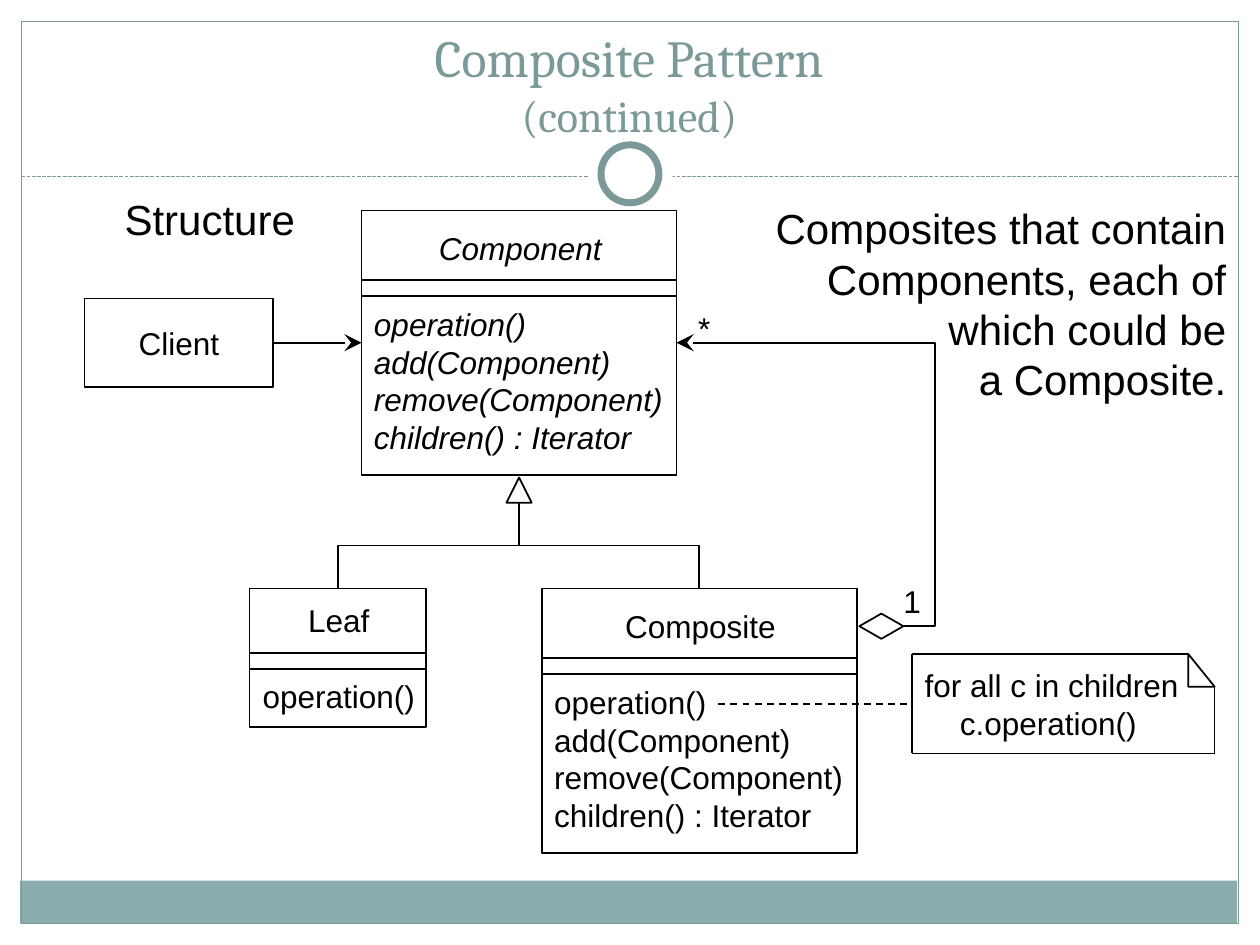
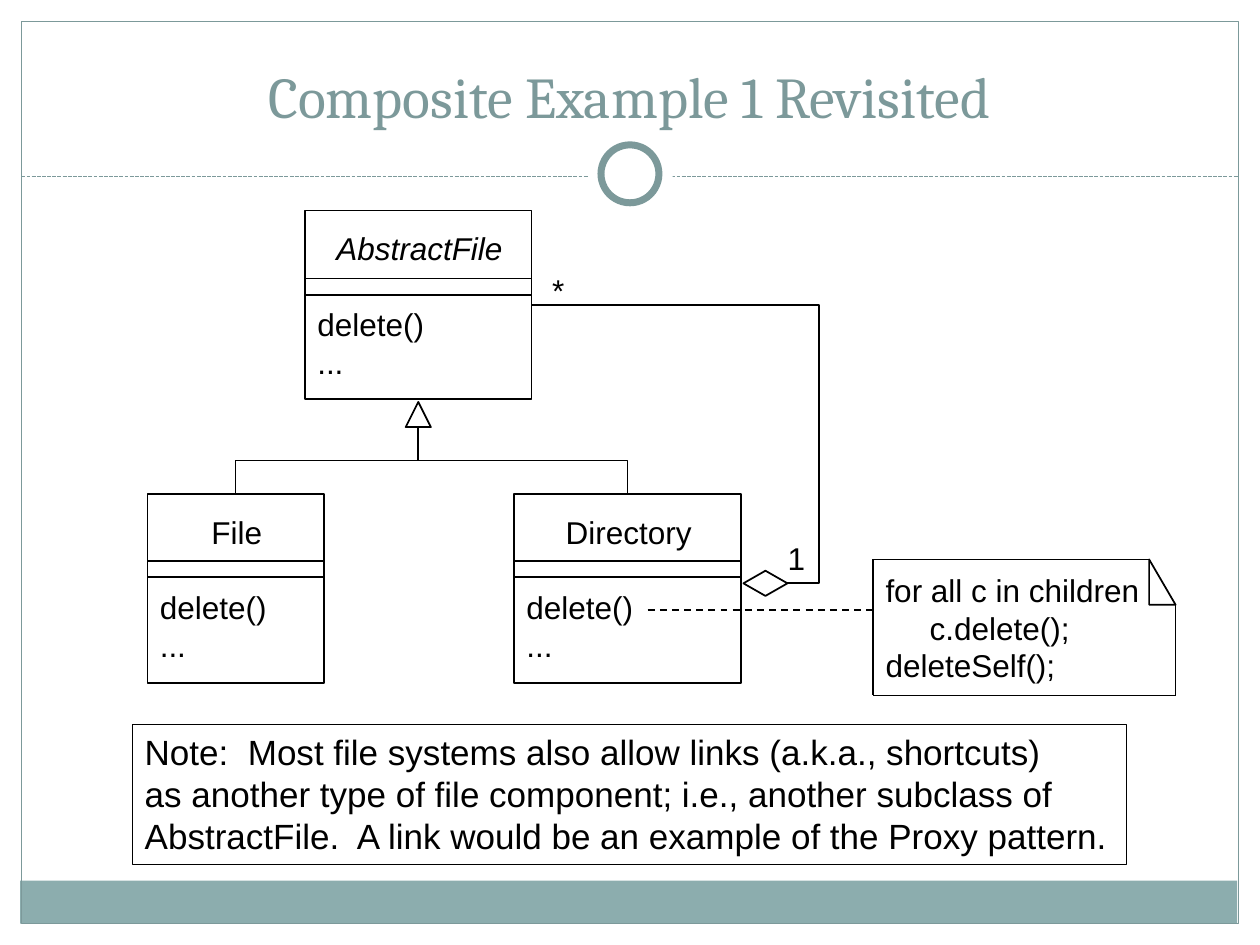
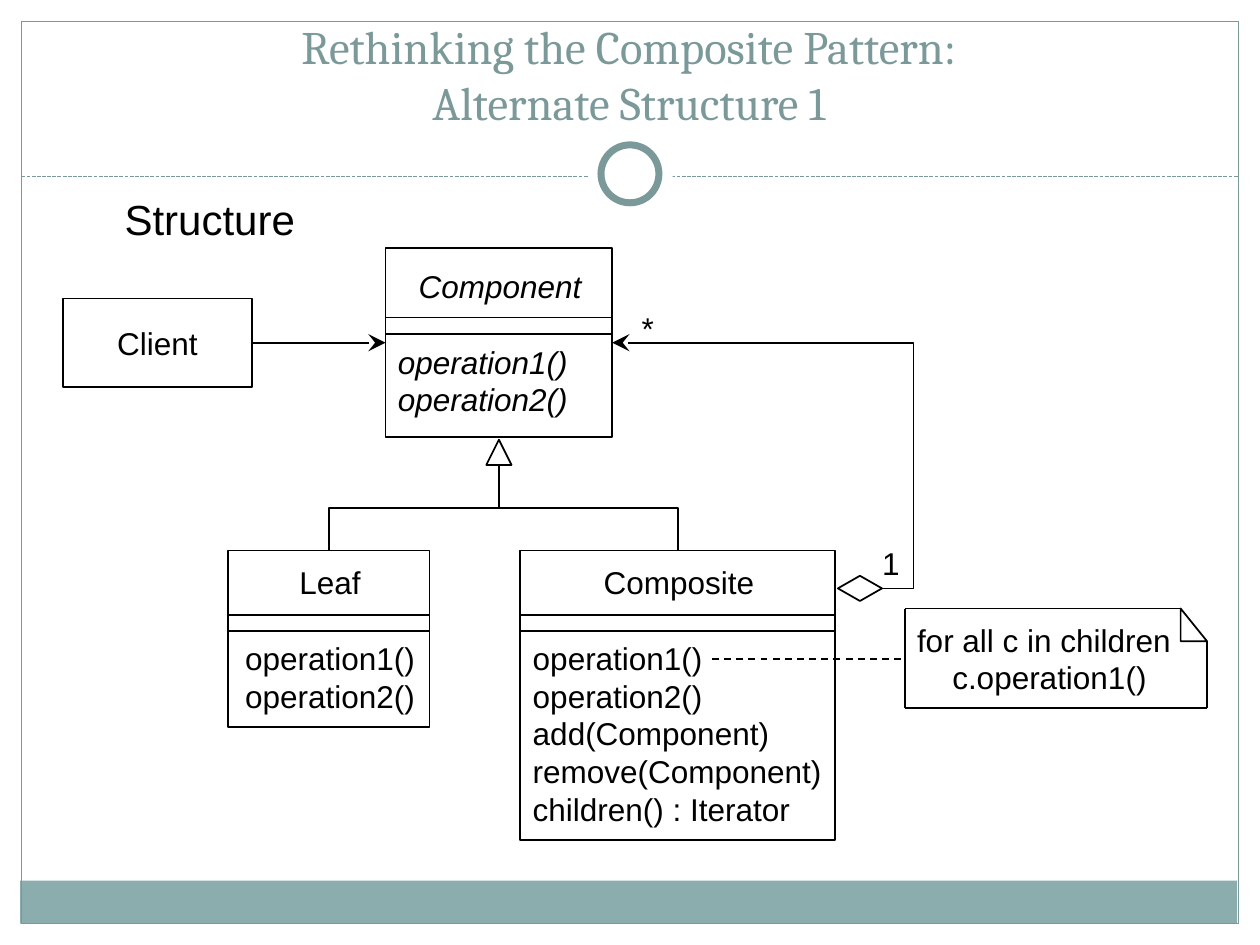
from lxml.etree import SubElement
from pptx import Presentation
from pptx.dml.color import RGBColor
from pptx.enum.dml import MSO_LINE
from pptx.enum.shapes import MSO_CONNECTOR, MSO_SHAPE
from pptx.enum.text import MSO_ANCHOR, PP_ALIGN
from pptx.oxml.ns import qn
from pptx.util import Inches, Pt

BLACK, WHITE, TEAL, BAND = "000000", "FFFFFF", "7C999A", "8CADAE"
BODY_FONT, TITLE_FONT = "Arial", "Cambria"
LEFT, CENTER, RIGHT = PP_ALIGN.LEFT, PP_ALIGN.CENTER, PP_ALIGN.RIGHT
DIVIDER_GAP = 0.13
TRIANGLE = 0.2
DIAMOND_WIDTH, DIAMOND_HEIGHT = 0.35, 0.2
NOTE_WIDTH, FOLD_WIDTH = 2.4, 0.21
ELBOW_REACH = 0.25
CHILD_METHODS = ["add(Component)", "remove(Component)", "children() : Iterator"]
STRUCTURE = dict(text="Structure", box=(0.88, 1.49, 1.57, 0.5), size=24, align=CENTER)

# Classes: box, name, methods, distance of the first divider from the top;
# optionally which parts are italic and how the methods are aligned.
# Aggregation: drop below the composite's top, height at the parent, gap to "*".
# Note: lines are (text, indent); link is the start of the dashed line.
SLIDES = [
    dict(
        title=[("Composite Pattern", 29.7), ("(continued)", 25.2)], title_top=0.34,
        parent=dict(box=(2.87, 1.67, 2.5, 2.1), name="Component", divider=0.55,
                    methods=["operation()"] + CHILD_METHODS,
                    italic_name=True, italic_methods=True),
        leaf=dict(box=(1.98, 4.67, 1.4, 1.1), name="Leaf", divider=0.51,
                  methods=["operation()"], align=CENTER),
        composite=dict(box=(4.3, 4.67, 2.5, 2.1), name="Composite", divider=0.55,
                       methods=["operation()"] + CHILD_METHODS),
        aggregation=dict(drop=0.3, parent_y=2.72, star_gap=0.07, arrow=True),
        note=dict(box=(7.24, 5.19, 0.79), fold=0.26, link=(5.7, 5.59),
                  lines=[("for all c in children", 0), ("c.operation()", 0.28)]),
        client=(0.67, 2.37, 1.5, 0.7),
        captions=[STRUCTURE, dict(
            text="Composites that contain Components, each of which could be a\u00a0Composite.",
            box=(5.62, 1.56, 4.21, 1.72), size=24, align=RIGHT, wrap=True)],
    ),
    dict(
        title=[("Composite Example 1 Revisited", 33)], title_top=0.25,
        parent=dict(box=(2.42, 1.67, 1.8, 1.5), name="AbstractFile", divider=0.54,
                    methods=["delete()", "..."], italic_name=True),
        leaf=dict(box=(1.17, 3.92, 1.4, 1.5), name="File", divider=0.53,
                  methods=["delete()", "..."]),
        composite=dict(box=(4.08, 3.92, 1.8, 1.5), name="Directory", divider=0.53,
                       methods=["delete()", "..."]),
        aggregation=dict(drop=0.71, parent_y=2.42, star_gap=0.06, arrow=False),
        note=dict(box=(6.93, 4.44, 1.08), fold=0.36, link=(5.14, 4.84),
                  lines=[("for all c in children", 0), ("c.delete();", 0.35),
                         ("deleteSelf();", 0)]),
        captions=[dict(
            text="Note:  Most file systems also allow links (a.k.a., shortcuts)\n"
                 "as another type of file component; i.e., another subclass of\n"
                 "AbstractFile.  A link would be an example of the Proxy pattern.",
            box=(1.05, 5.75, 7.89, 1.11), size=20, border=0.75)],
    ),
    dict(
        title=[("Rethinking the Composite Pattern:", 26.6), ("Alternate Structure 1", 26.6)],
        title_top=0.25,
        parent=dict(box=(3.06, 1.97, 1.8, 1.5), name="Component", divider=0.55,
                    methods=["operation1()", "operation2()"],
                    italic_name=True, italic_methods=True),
        leaf=dict(box=(1.81, 4.37, 1.6, 1.4), name="Leaf", divider=0.51,
                  methods=["operation1()", "operation2()"], align=CENTER),
        composite=dict(box=(4.13, 4.37, 2.5, 2.3), name="Composite", divider=0.51,
                       methods=["operation1()", "operation2()"] + CHILD_METHODS),
        aggregation=dict(drop=0.3, parent_y=2.72, star_gap=0.13, arrow=True),
        note=dict(box=(7.18, 4.83, 0.79), fold=0.26, link=(5.65, 5.23),
                  lines=[("for all c in children", 0), ("c.operation1()", 0.28)]),
        client=(0.5, 2.37, 1.5, 0.7),
        captions=[STRUCTURE],
    ),
]


def rgb(color):
    """Turn a hex string into a colour."""
    return RGBColor.from_string(color)


def style_runs(paragraph, size, color=BLACK, font=BODY_FONT, italic=False):
    """Format every run of a paragraph."""
    for run in paragraph.runs:
        run.font.size = Pt(size)
        run.font.name = font
        run.font.italic = italic
        run.font.color.rgb = rgb(color)


def add_preset(slide, kind, box, fill=None, line=None, width=1):
    """Draw a preset shape with an optional fill and outline."""
    shape = slide.shapes.add_shape(kind, *map(Inches, box))
    shape.shadow.inherit = False
    if fill:
        shape.fill.solid()
        shape.fill.fore_color.rgb = rgb(fill)
    else:
        shape.fill.background()
    if line:
        shape.line.color.rgb = rgb(line)
        shape.line.width = Pt(width)
    else:
        shape.line.fill.background()
    return shape


def add_line(slide, start, end, color=BLACK, width=1, dash=None, arrow=False,
             kind=MSO_CONNECTOR.STRAIGHT):
    """Draw a connector between two points."""
    connector = slide.shapes.add_connector(kind, *map(Inches, (*start, *end)))
    connector.line.color.rgb = rgb(color)
    connector.line.width = Pt(width)
    if dash:
        connector.line.dash_style = dash
    properties = connector._element.spPr
    if arrow:
        SubElement(properties.find(qn("a:ln")), qn("a:tailEnd"),
                   type="stealth", w="lg", len="lg")
    SubElement(properties, qn("a:effectLst"))
    return connector


def add_side_elbow(slide, start, end, arrow):
    """Link two points through a vertical stretch to the right of the start."""
    elbow = add_line(slide, start, end, arrow=arrow, kind=MSO_CONNECTOR.ELBOW)
    bend = round(100000 * ELBOW_REACH / (end[0] - start[0]))
    guides = elbow._element.spPr.find(qn("a:prstGeom")).find(qn("a:avLst"))
    SubElement(guides, qn("a:gd"), name="adj1", fmla=f"val {bend}")


def add_tree_elbow(slide, top, bottom):
    """Link two points down, across and down: an elbow turned by 90 degrees."""
    middle_x, middle_y = (top[0] + bottom[0]) / 2, (top[1] + bottom[1]) / 2
    half_height = abs(bottom[0] - top[0]) / 2
    leftward = bottom[0] < top[0]
    reach = (bottom[1] - top[1]) / 2 * (1 if leftward else -1)
    elbow = add_line(slide, (middle_x - reach, middle_y - half_height),
                     (middle_x + reach, middle_y + half_height),
                     kind=MSO_CONNECTOR.ELBOW)
    quarter_turns = 1 if leftward else 3
    elbow._element.spPr.find(qn("a:xfrm")).set("rot", str(quarter_turns * 5400000))


def add_text(slide, box, text, size=18, align=LEFT, anchor=MSO_ANCHOR.TOP,
             wrap=False, border=None):
    """Place a text box, one paragraph a line."""
    label = slide.shapes.add_textbox(*map(Inches, box))
    frame = label.text_frame
    frame.text = text
    frame.word_wrap = wrap
    frame.vertical_anchor = anchor
    if border:
        label.line.color.rgb = rgb(BLACK)
        label.line.width = Pt(border)
    for paragraph in frame.paragraphs:
        paragraph.alignment = align
        style_runs(paragraph, size)
    return frame


def add_frame(slide):
    """Draw the border, band, dashed rule and ring that all slides share."""
    add_preset(slide, MSO_SHAPE.RECTANGLE, (0.16, 6.99, 9.66, 0.34), fill=BAND)
    add_preset(slide, MSO_SHAPE.RECTANGLE, (0.17, 0.17, 9.66, 7.16), line=TEAL, width=0.75)
    add_line(slide, (0.17, 1.4), (9.83, 1.4), TEAL, 0.75, MSO_LINE.SQUARE_DOT)
    add_preset(slide, MSO_SHAPE.OVAL, (4.67, 1.05, 0.67, 0.67), fill=WHITE)
    add_preset(slide, MSO_SHAPE.OVAL, (4.77, 1.15, 0.46, 0.46), WHITE, TEAL, 4)


def add_title(slide, lines, top):
    """Write the title, its lines parted by line breaks."""
    frame = add_text(slide, (0.33, top, 9.33, 0.83), "\v".join(text for text, _ in lines),
                     align=CENTER, anchor=MSO_ANCHOR.BOTTOM, wrap=True)
    style_runs(frame.paragraphs[0], lines[0][1], TEAL, TITLE_FONT)
    for run, (_, size) in zip(frame.paragraphs[0].runs, lines):
        run.font.size = Pt(size)


def add_class(slide, box, name, methods, divider, italic_name=False,
              italic_methods=False, align=LEFT):
    """Draw a class box with its name, two dividers and methods."""
    left, top, width, _ = box
    frame = add_preset(slide, MSO_SHAPE.RECTANGLE, box, line=BLACK).text_frame
    frame.text = "\n".join([name] + methods)
    frame.word_wrap = True
    frame.margin_right = Inches(0.08)
    frame.vertical_anchor = MSO_ANCHOR.MIDDLE
    heading, *operations = frame.paragraphs
    heading.alignment = CENTER
    heading.space_after = Pt(21.6)
    style_runs(heading, 18, italic=italic_name)
    for operation in operations:
        operation.alignment = align
        style_runs(operation, 18, italic=italic_methods)
    for y in (top + divider, top + divider + DIVIDER_GAP):
        add_line(slide, (left, y), (left + width, y))


def add_inheritance(slide, parent, children):
    """Put the triangle under the parent and link the children to it."""
    left, top, width, height = parent
    center, tip = left + width / 2, top + height + 0.02
    add_preset(slide, MSO_SHAPE.ISOSCELES_TRIANGLE,
               (center - TRIANGLE / 2, tip, TRIANGLE, TRIANGLE), line=BLACK)
    for child_left, child_top, child_width, _ in children:
        add_tree_elbow(slide, (center, tip + TRIANGLE),
                       (child_left + child_width / 2, child_top))


def add_aggregation(slide, parent, composite, drop, parent_y, star_gap, arrow):
    """Link the composite's diamond back to the parent, one to many."""
    parent_right = parent[0] + parent[2]
    diamond_left = composite[0] + composite[2] + 0.02
    y = composite[1] + drop
    add_preset(slide, MSO_SHAPE.FLOWCHART_DECISION,
               (diamond_left, y - DIAMOND_HEIGHT / 2, DIAMOND_WIDTH, DIAMOND_HEIGHT),
               line=BLACK)
    add_side_elbow(slide, (diamond_left + DIAMOND_WIDTH, y), (parent_right, parent_y), arrow)
    for text, box in (("*", (parent_right + star_gap, parent_y - 0.32, 0.3, 0.4)),
                      ("1", (diamond_left + 0.25, y - 0.4, 0.34, 0.4))):
        add_text(slide, box, text, align=CENTER, anchor=MSO_ANCHOR.MIDDLE)


def add_note(slide, box, fold, link, lines):
    """Draw a note with a folded corner and its dashed link."""
    left, top, height = box
    right, bottom = left + NOTE_WIDTH, top + height
    fold_left = right - FOLD_WIDTH
    frame = add_text(slide, (left, top + 0.04, 2.24, height - 0.08),
                     "\n".join(text for text, _ in lines), anchor=MSO_ANCHOR.MIDDLE)
    for paragraph, (_, indent) in zip(frame.paragraphs, lines):
        paragraph._p.get_or_add_pPr().set("marL", str(Inches(indent)))
    add_preset(slide, MSO_SHAPE.RIGHT_TRIANGLE, (fold_left, top, FOLD_WIDTH, fold), line=BLACK)
    outline = [(fold_left, top), (left, top), (left, bottom), (right, bottom),
               (right, top + fold)]
    for start, end in zip(outline, outline[1:]):
        add_line(slide, start, end)
    add_line(slide, link, (left, link[1]), dash=MSO_LINE.DASH)


def add_client(slide, box, parent):
    """Draw the client and its arrow to the parent class."""
    left, top, width, height = box
    frame = add_preset(slide, MSO_SHAPE.RECTANGLE, box, line=BLACK).text_frame
    frame.text = "Client"
    frame.vertical_anchor = MSO_ANCHOR.MIDDLE
    frame.paragraphs[0].alignment = CENTER
    style_runs(frame.paragraphs[0], 18)
    y = top + height / 2
    add_line(slide, (left + width, y), (parent[0], y), arrow=True)


def build_slide(deck, content):
    """Build one slide from its content."""
    slide = deck.slides.add_slide(deck.slide_layouts[6])
    add_frame(slide)
    add_title(slide, content["title"], content["title_top"])
    for role in ("parent", "leaf", "composite"):
        add_class(slide, **content[role])
    parent, leaf, composite = (content[role]["box"] for role in ("parent", "leaf", "composite"))
    add_inheritance(slide, parent, (leaf, composite))
    add_aggregation(slide, parent, composite, **content["aggregation"])
    add_note(slide, **content["note"])
    if "client" in content:
        add_client(slide, content["client"], parent)
    for caption in content["captions"]:
        add_text(slide, **caption)


presentation = Presentation()
presentation.slide_width, presentation.slide_height = Inches(10), Inches(7.5)
for slide_content in SLIDES:
    build_slide(presentation, slide_content)
presentation.save("out.pptx")
